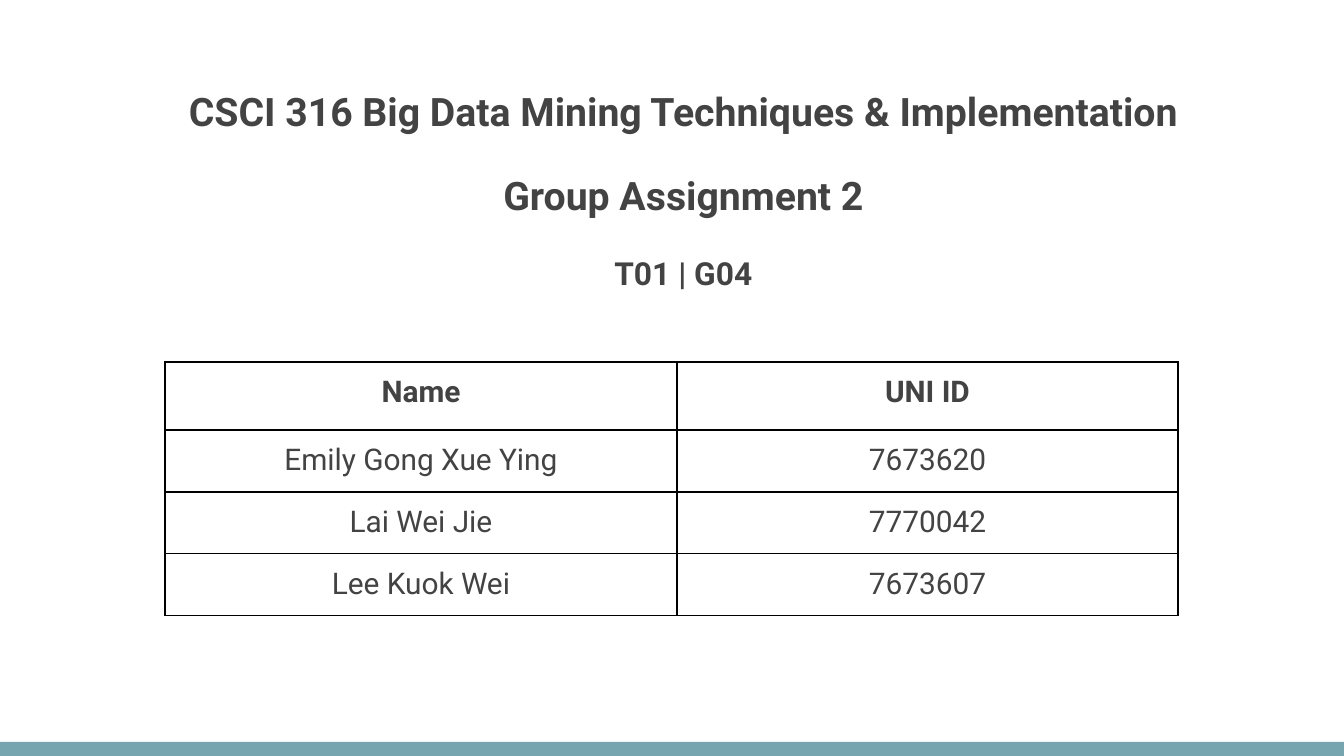
from lxml.etree import SubElement
from pptx import Presentation
from pptx.dml.color import RGBColor
from pptx.enum.shapes import MSO_SHAPE
from pptx.enum.text import MSO_ANCHOR, MSO_AUTO_SIZE, PP_ALIGN
from pptx.oxml.ns import qn
from pptx.util import Emu, Pt

PX_PER_INCH = 134.4
COLORS = {"background": "FFFFFF", "text": "434343", "bar": "76A5AF", "border": "000000"}


def px(value):
    return Emu(round(value * 914400 / PX_PER_INCH))


class CoverSlide:
    font_name = "Roboto"
    inset = px(13)

    def __init__(self, presentation):
        self.slide = presentation.slides.add_slide(presentation.slide_layouts[1])
        self.slide.shapes.title.element.getparent().remove(self.slide.shapes.title.element)
        self.fill(self.slide.background, "background")

    def fill(self, target, color):
        target.fill.solid()
        target.fill.fore_color.rgb = RGBColor.from_string(COLORS[color])

    def set_margins(self, target):
        target.margin_left = target.margin_right = self.inset
        target.margin_top = target.margin_bottom = self.inset

    def style(self, paragraph, size, bold):
        paragraph.alignment = PP_ALIGN.CENTER
        for run in paragraph.runs:
            run.font.name = self.font_name
            run.font.size = Pt(size)
            run.font.bold = bold
            run.font.color.rgb = RGBColor.from_string(COLORS["text"])

    def bar(self, left, top, width, height):
        shape = self.slide.shapes.add_shape(
            MSO_SHAPE.RECTANGLE, px(left), px(top), px(width), px(height))
        shape.shadow.inherit = False
        self.fill(shape, "bar")
        shape.line.fill.background()

    def heading(self, left, top, width, height, lines, gap):
        body = self.slide.placeholders[1]
        body.left, body.top, body.width, body.height = map(px, (left, top, width, height))
        text_frame = body.text_frame
        text_frame.word_wrap = True
        text_frame.auto_size = MSO_AUTO_SIZE.NONE
        text_frame.vertical_anchor = MSO_ANCHOR.TOP
        self.set_margins(text_frame)
        text_frame.text = "\n".join(text for text, size in lines)
        for index, (paragraph, (text, size)) in enumerate(zip(text_frame.paragraphs, lines)):
            self.style(paragraph, size, True)
            paragraph.line_spacing = 1.15
            paragraph.space_before = Pt(gap if index else 0)
            paragraph.space_after = Pt(0)
            # Plain lines: no bullet, no hanging indent
            properties = paragraph._p.get_or_add_pPr()
            properties.set("marL", "0")
            properties.set("indent", "0")
            SubElement(properties, qn("a:buNone"))

    def border(self, cell, width):
        properties = cell._tc.get_or_add_tcPr()
        for position, side in enumerate(("lnL", "lnR", "lnT", "lnB")):
            line = properties.makeelement(qn(f"a:{side}"), {"w": str(Pt(width))})
            solid = SubElement(line, qn("a:solidFill"))
            SubElement(solid, qn("a:srgbClr"), val=COLORS["border"])
            properties.insert(position, line)

    def table(self, left, top, column_widths, row_heights, rows, size):
        table = self.slide.shapes.add_table(
            len(rows), len(column_widths), px(left), px(top),
            px(sum(column_widths)), px(sum(row_heights))).table
        for column, width in zip(table.columns, column_widths):
            column.width = px(width)
        for row_index, (row, height, texts) in enumerate(zip(table.rows, row_heights, rows)):
            row.height = px(height)
            for cell, text in zip(row.cells, texts):
                cell.text_frame.text = text
                self.set_margins(cell)
                self.style(cell.text_frame.paragraphs[0], size, row_index == 0)
                self.fill(cell, "background")
                self.border(cell, 0.75)


def main():
    presentation = Presentation()
    presentation.slide_width, presentation.slide_height = px(1344), px(756)
    cover = CoverSlide(presentation)

    # Bottom accent bar
    cover.bar(0, 742, 1344, 14)

    # Course, assignment and group
    cover.heading(48, 67, 1271, 282, [
        ("CSCI 316 Big Data Mining Techniques & Implementation", 21),
        ("Group Assignment 2", 21),
        ("T01 | G04", 17),
    ], gap=16)

    # Group members
    members = [
        ("Name", "UNI ID"),
        ("Emily Gong Xue Ying", "7673620"),
        ("Lai Wei Jie", "7770042"),
        ("Lee Kuok Wei", "7673607"),
    ]
    cover.table(165, 362, [512, 501], [68, 62, 62, 62], members, size=16)

    presentation.save("out.pptx")


if __name__ == "__main__":
    main()
